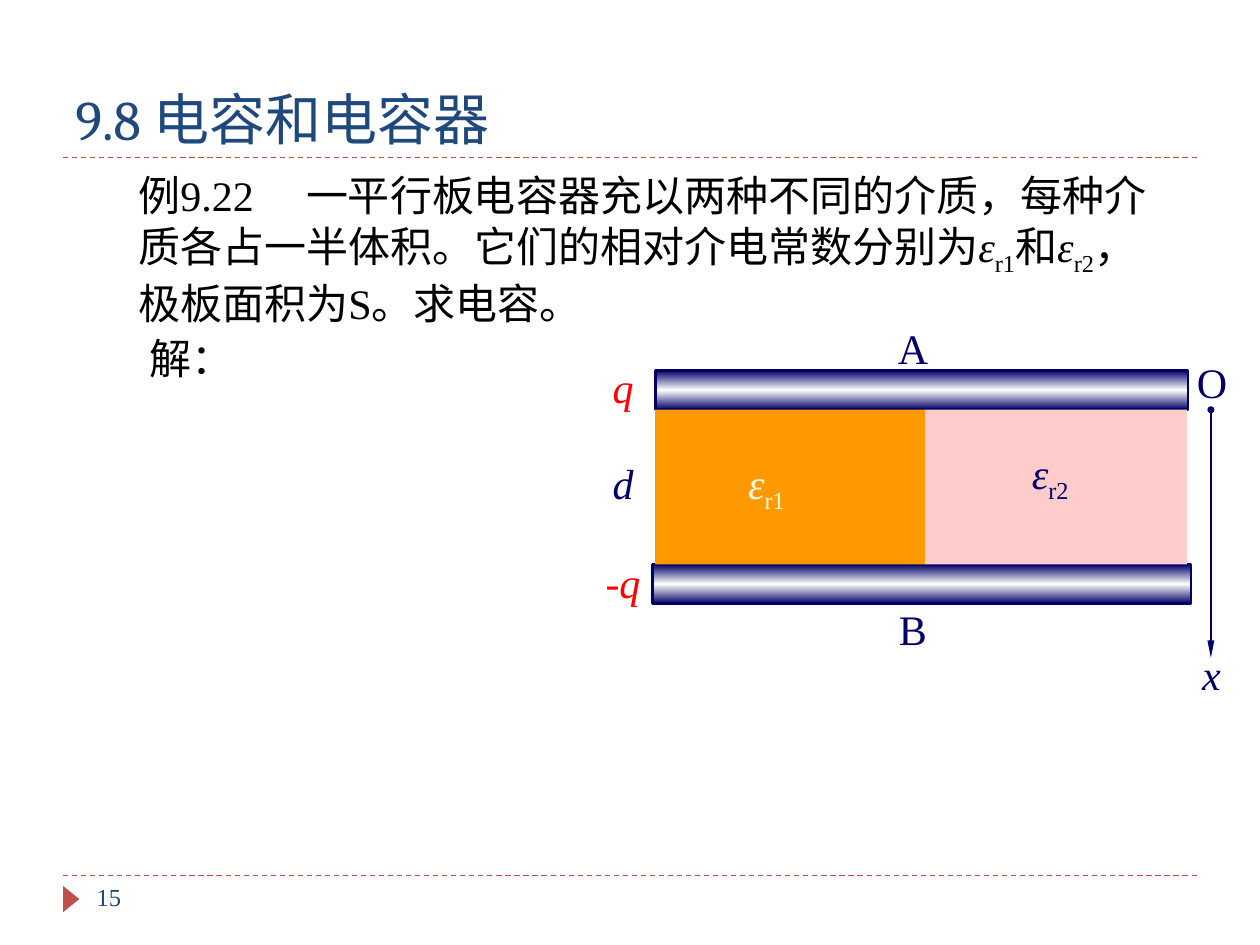
from copy import deepcopy
from dataclasses import dataclass

from lxml import etree
from pptx import Presentation
from pptx import util as u
from pptx.dml import color
from pptx.enum import dml, shapes, text
from pptx.oxml import ns


@dataclass(frozen=True)
class Theme:
    """Colours, fonts and type sizes of the slide."""
    navy: str = "000066"
    white: str = "FFFFFF"
    black: str = "000000"
    red: str = "FF0000"
    cream: str = "FBFAE2"
    orange: str = "FF9900"
    pink: str = "FFCCCC"
    brick: str = "C0504D"
    heading: str = "1F497D"
    title_font: str = "Cambria"
    body_font: str = "Times New Roman"
    title_size: int = 32
    body_size: int = 24
    number_size: int = 14


THEME = Theme()
LABEL_HEIGHT = 1.27


def rgb(value):
    """Turn a hex string into a colour."""
    return color.RGBColor.from_string(value)


def add_element(parent, tag, **attributes):
    """Append a drawing element with its attributes."""
    return etree.SubElement(parent, ns.qn(tag), **attributes)


def add_line(canvas, start, end, line_color, width, dashed=False):
    """Draw a straight line without a shadow."""
    line = canvas.add_connector(shapes.MSO_CONNECTOR.STRAIGHT,
                                *(u.Cm(v) for v in (*start, *end)))
    line.line.color.rgb = rgb(line_color)
    line.line.width = u.Pt(width)
    if dashed:
        line.line.dash_style = dml.MSO_LINE.DASH
    add_element(line._element.spPr, "a:effectLst")
    return line


def add_axis(canvas, start, end):
    """Draw the axis with a dot at its origin and an arrow at its end."""
    outline = add_line(canvas, start, end, THEME.navy, 1.5).line._get_or_add_ln()
    add_element(outline, "a:headEnd", type="oval", w="sm", len="sm")
    add_element(outline, "a:tailEnd", type="triangle", w="sm", len="lg")


def add_block(canvas, box, fill, kind=shapes.MSO_SHAPE.RECTANGLE):
    """Draw a flat filled shape without an outline."""
    block = canvas.add_shape(kind, *(u.Cm(v) for v in box))
    block.shadow.inherit = False
    block.fill.solid()
    block.fill.fore_color.rgb = rgb(fill)
    block.line.fill.background()
    return block


def add_plate(canvas, box):
    """Draw a capacitor plate with a metallic gradient."""
    plate = add_block(canvas, box, THEME.navy)
    plate.line.color.rgb = rgb(THEME.navy)
    plate.line.width = u.Pt(1.5)
    plate.fill.gradient()
    plate.fill.gradient_angle = 90
    first = plate.fill.gradient_stops[0]._gs
    first.addnext(deepcopy(first))
    tones = (THEME.navy, THEME.white, THEME.navy)
    for stop, tone, position in zip(plate.fill.gradient_stops, tones, (0, 0.5, 1)):
        stop.color.rgb = rgb(tone)
        stop.position = position


def add_text(canvas, box, pieces, ink, size=THEME.body_size, font=THEME.body_font,
             align=None, anchor=text.MSO_ANCHOR.TOP, wrap=True, grow=True, tab=None):
    """Write (wording, style) pieces, where style is "", "i" or "sub"."""
    frame = canvas.add_textbox(*(u.Cm(v) for v in box)).text_frame
    frame.word_wrap = wrap
    frame.vertical_anchor = anchor
    if grow:
        frame.auto_size = text.MSO_AUTO_SIZE.SHAPE_TO_FIT_TEXT
    paragraph = frame.paragraphs[0]
    paragraph.alignment = align
    if tab:
        tabs = add_element(paragraph._p.get_or_add_pPr(), "a:tabLst")
        add_element(tabs, "a:tab", pos=str(u.Cm(tab)), algn="l")
    for wording, style in pieces:
        run = paragraph.add_run()
        run.text = wording
        run.font.name = font
        run.font.size = u.Pt(size)
        run.font.color.rgb = rgb(ink)
        run.font.italic = style == "i"
        if style == "sub":
            run.font._element.set("baseline", "-25000")


def permittivity(index):
    """Give the pieces of a relative permittivity symbol."""
    return [("ε", "i"), (f"r{index}", "sub")]


def add_label(canvas, left, top, width, wording, ink=THEME.navy, style="", **options):
    """Write a centred one-line label."""
    add_text(canvas, (left, top, width, LABEL_HEIGHT), [(wording, style)], ink,
             align=text.PP_ALIGN.CENTER, **options)


def add_frame(canvas):
    """Draw the rules, title and page number."""
    for rule_y in (17.65, 3.18):
        add_line(canvas, (1.27, rule_y), (24.13, rule_y), THEME.brick, 0.75, dashed=True)
    marker = add_block(canvas, (1.17, 17.96, 0.53, 0.33), THEME.brick,
                       shapes.MSO_SHAPE.ISOSCELES_TRIANGLE)
    marker.rotation = 90
    add_text(canvas, (1.27, 0.64, 22.86, 2.54), [("9.8 电容和电容器", "")], THEME.heading,
             THEME.title_size, THEME.title_font, anchor=text.MSO_ANCHOR.BOTTOM, grow=False)
    add_text(canvas, (1.7, 17.65, 5.51, 1.02), [("15", "")], THEME.heading,
             THEME.number_size, grow=False)


def add_problem(canvas):
    """Write the worked example."""
    opening = "例9.22\t一平行板电容器充以两种不同的介质，每种介质各占一半体积。它们的相对介电常数分别为"
    pieces = [(opening, ""), *permittivity(1), ("和", ""), *permittivity(2),
              ("，极板面积为S。求电容。", "")]
    add_text(canvas, (2.54, 3.3, 21.16, 3.33), pieces, THEME.black, tab=3.38)


def add_capacitor(canvas):
    """Draw the two-dielectric capacitor with its labels."""
    plate_left, gap_top, gap_height, axis_x = 13.21, 8.26, 3.12, 24.41
    add_plate(canvas, (plate_left, 7.47, 10.74, 0.79))
    add_plate(canvas, (13.16, gap_top + gap_height, 10.85, 0.79))
    add_block(canvas, (plate_left, gap_top, 5.44, gap_height), THEME.orange)
    add_block(canvas, (18.65, gap_top, 5.28, gap_height), THEME.pink)
    add_label(canvas, 12.09, 9.09, 0.94, "d", style="i",
              anchor=text.MSO_ANCHOR.MIDDLE, wrap=False)
    add_axis(canvas, (axis_x, gap_top), (axis_x, 13.26))
    add_label(canvas, 23.8, 12.95, 1.24, "x", style="i")
    add_label(canvas, 23.62, 7.06, 1.63, "O")
    add_text(canvas, (20.55, 8.89, 2.46, LABEL_HEIGHT), permittivity(2), THEME.navy)
    add_text(canvas, (14.83, 9.09, 2.46, LABEL_HEIGHT), permittivity(1), THEME.cream)
    for charge, top in (("q", 7.16), ("-q", 11.1)):
        add_label(canvas, 11.25, top, 2.62, charge, THEME.red, "i")
    for plate_name, top in (("A", 6.38), ("B", 12.04)):
        add_label(canvas, 17.82, top, 1.17, plate_name)


def main():
    """Build and save the slide."""
    deck = Presentation()
    deck.slide_width, deck.slide_height = u.Cm(25.4), u.Cm(19.05)
    slide = deck.slides.add_slide(deck.slide_layouts[6])
    add_frame(slide.shapes)
    add_problem(slide.shapes)
    add_capacitor(slide.shapes.add_group_shape().shapes)
    add_label(slide.shapes, 2.74, 6.58, 2.24, "解：", THEME.black,
              anchor=text.MSO_ANCHOR.MIDDLE, wrap=False)
    deck.save("out.pptx")


if __name__ == "__main__":
    main()
